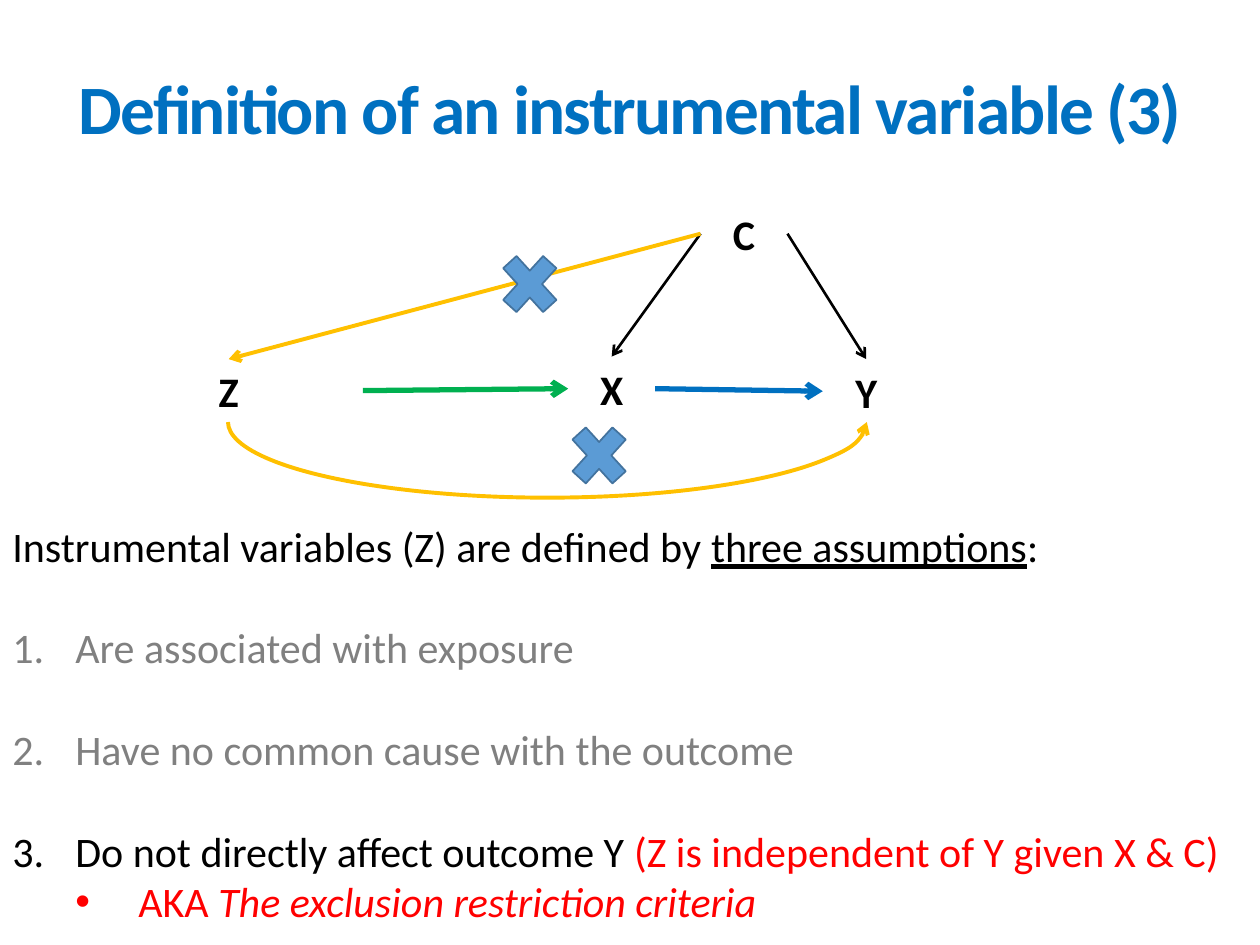
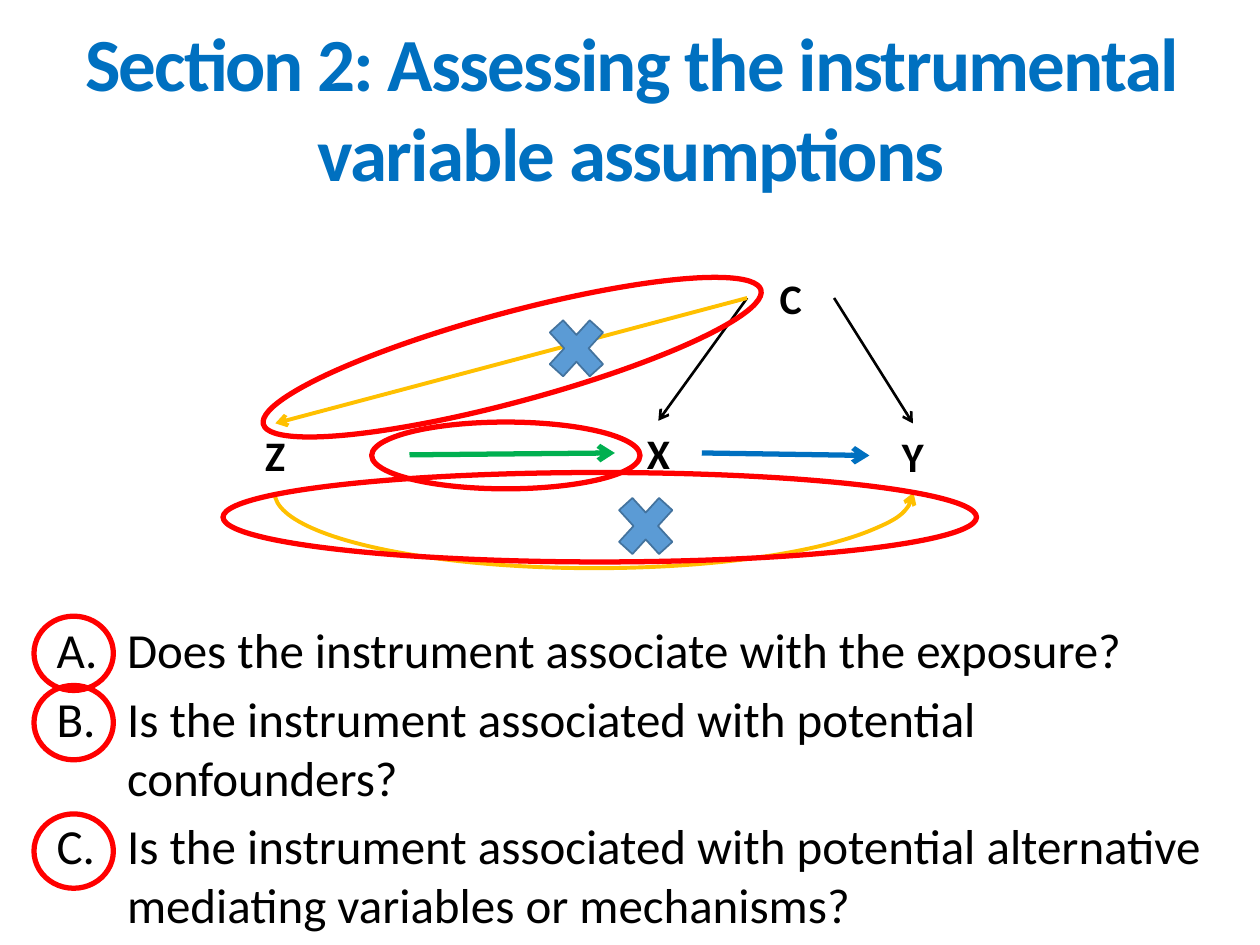
import pptx
import pptx.util
import pptx.dml.color
import pptx.enum.shapes
import pptx.enum.text
import pptx.oxml
import pptx.oxml.ns

Inches, Pt = pptx.util.Inches, pptx.util.Pt
SHAPE = pptx.enum.shapes.MSO_SHAPE
ANCHOR = pptx.enum.text.MSO_ANCHOR
ALIGN = pptx.enum.text.PP_ALIGN
qn = pptx.oxml.ns.qn

FONT = "Calibri"
BLACK, GREY, WHITE, RED = "000000", "808080", "FFFFFF", "FF0000"
BLUE, GREEN, GOLD = "0070C0", "00B050", "FFC000"
CROSS_FILL, CROSS_LINE = "5B9BD5", "43739E"

# Causal diagram, shared by both slides: left, top, width, height
NODES = {
    "C": (5.56, 1.60, 0.69, 0.51),
    "X": (4.51, 2.83, 0.69, 0.51),
    "Y": (6.53, 2.85, 0.69, 0.51),
    "Z": (0.75, 2.85, 2.13, 0.50),
}
TOP, LEFT, RIGHT = 0, 1, 3
ARROWS = [  # cause, side, effect, side, colour, width
    ("C", LEFT, "X", TOP, BLACK, 1.5),
    ("C", RIGHT, "Y", TOP, BLACK, 1.5),
    ("X", RIGHT, "Y", LEFT, BLUE, 3),
    ("Z", RIGHT, "X", LEFT, GREEN, 3),
    ("C", LEFT, "Z", TOP, GOLD, 2.25),
]
DIRECT_PATH = (1.81, 2.75, 5.07, 1.20)  # whole ellipse; its lower half is drawn
CROSS_SIZE = (0.61, 0.67)
CONFOUNDER_CROSS = (3.90, 1.92)
DIRECT_CROSS = (4.45, 3.28)

# Body paragraphs: level, bullet, space before, runs of (text, colour, style)
DEFINITION = {
    "title": "Definition of an instrumental variable (3)",
    "title_box": (0.35, 0.47, 9.3, 1.08),
    "title_size": 39.6,
    "title_anchor": ANCHOR.TOP,
    "shift": (0, 0),
    "path_drop": 0,
    "body_box": (0, 4.08, 10, 3.42),
    "body_size": 24,
    "indent": 0.5,
    "body": [
        (0, None, 0, [("Instrumental variables (Z) are defined by ", BLACK, ""),
                      ("three assumptions", BLACK, "underline"),
                      (":", BLACK, "")]),
        (0, "arabicPeriod", 29.3, [("Are associated with exposure", GREY, "")]),
        (0, "arabicPeriod", 29.3,
         [("Have no common cause with the outcome", GREY, "")]),
        (0, "arabicPeriod", 29.3,
         [("Do not directly affect outcome Y ", BLACK, ""),
          ("(Z is independent of Y given X & C)", RED, "")]),
        (1, "•", 0, [("AKA ", RED, ""),
                     ("The exclusion restriction criteria", RED, "italic")]),
    ],
    "rings": [],
}
ASSESSMENT = {
    "title": "Section 2: Assessing the instrumental variable assumptions",
    "title_box": (0.51, 0.05, 9, 1.59),
    "title_size": 42.9,
    "title_anchor": ANCHOR.MIDDLE,
    "shift": (0.37, 0.51),
    "path_drop": 0.05,
    "body_box": (0.35, 4.87, 9.48, 2.58),
    "body_size": 28,
    "indent": 0.56,
    "body": [
        (0, "alphaUcPeriod", gap, [(question, BLACK, "")])
        for gap, question in [
            (0, "Does the instrument associate with the exposure?"),
            (5.6, "Is the instrument associated with potential confounders?"),
            (5.6, "Is the instrument associated with potential alternative "
                  "mediating variables or mechanisms?"),
        ]
    ],
    # Each pair rings a path in the diagram and the letter of its question
    "rings": [
        ((2.95, 3.35, 2.13, 0.53), 0, 4.89),
        ((2.02, 2.48, 4.09, 0.71), 344.9, 5.44),
        ((1.77, 3.75, 5.98, 0.71), 0, 6.46),
    ],
}
LETTER_LEFT, LETTER_SIZE = 0.27, (0.63, 0.59)


def rgb(colour):
    return pptx.dml.color.RGBColor.from_string(colour)


def add_xml(parent, tag, **attributes):
    child = pptx.oxml.parse_xml(f"<a:{tag} {pptx.oxml.ns.nsdecls('a')}/>")
    for key, value in attributes.items():
        child.set(key, str(value))
    parent.append(child)


def style_line(item, colour, width):
    item.line.color.rgb = rgb(colour)
    item.line.width = Pt(width)


def style_run(run, size, colour, bold=False):
    run.font.name = FONT
    run.font.size = Pt(size)
    run.font.color.rgb = rgb(colour)
    run.font.bold = bold


def add_outline(slide, preset, box, colour, width, fill=None):
    shape = slide.shapes.add_shape(preset, *map(Inches, box))
    shape.shadow.inherit = False
    if fill:
        shape.fill.solid()
        shape.fill.fore_color.rgb = rgb(fill)
    else:
        shape.fill.background()
    style_line(shape, colour, width)
    return shape


def add_arrowhead(item, end):
    """Put an open arrow at the start (headEnd) or finish (tailEnd) of a line."""
    add_xml(item._element.spPr.find(qn("a:ln")), end, type="arrow")


def add_text_frame(slide, box, anchor):
    frame = slide.shapes.add_textbox(*map(Inches, box)).text_frame
    frame.word_wrap = True
    frame.vertical_anchor = anchor
    return frame


def add_title(slide, content):
    frame = add_text_frame(slide, content["title_box"], content["title_anchor"])
    frame.text = content["title"]
    heading = frame.paragraphs[0]
    heading.alignment = ALIGN.CENTER
    style_run(heading.runs[0], content["title_size"], BLUE, bold=True)
    heading.runs[0]._r.get_or_add_rPr().set("spc", "-100")


def add_body(slide, content):
    frame = add_text_frame(slide, content["body_box"], ANCHOR.TOP)
    for index, (level, bullet, gap, runs) in enumerate(content["body"]):
        paragraph = frame.add_paragraph() if index else frame.paragraphs[0]
        paragraph.level = level
        paragraph.space_before = Pt(gap)
        for text, colour, style in runs:
            run = paragraph.add_run()
            run.text = text
            style_run(run, content["body_size"], colour)
            run.font.underline = style == "underline"
            run.font.italic = style == "italic"
        if bullet:
            properties = paragraph._p.get_or_add_pPr()
            indent = content["indent"]
            properties.set("marL", str(Inches(indent * (level + 1))))
            properties.set("indent", str(-Inches(indent)))
            if bullet == "•":
                add_xml(properties, "buFont", typeface="Arial")
                add_xml(properties, "buChar", char=bullet)
            else:
                add_xml(properties, "buAutoNum", type=bullet)


def add_diagram(slide, shift, path_drop):
    """Draw the causal diagram; path_drop lowers the direct Z to Y path."""
    dx, dy = shift
    nodes = {}
    for letter, (left, top, width, height) in NODES.items():
        node = add_outline(slide, SHAPE.RECTANGLE,
                           (left + dx, top + dy, width, height), WHITE, 0.75)
        node.text_frame.text = letter
        node.text_frame.vertical_anchor = ANCHOR.MIDDLE
        label = node.text_frame.paragraphs[0]
        label.alignment = ALIGN.CENTER
        style_run(label.runs[0], 24, BLACK, bold=True)
        nodes[letter] = node

    for cause, start, effect, finish, colour, width in ARROWS:
        arrow = slide.shapes.add_connector(
            pptx.enum.shapes.MSO_CONNECTOR.STRAIGHT, 0, 0, 0, 0)
        arrow.begin_connect(nodes[cause], start)
        arrow.end_connect(nodes[effect], finish)
        style_line(arrow, colour, width)
        add_arrowhead(arrow, "tailEnd")
        add_xml(arrow._element.spPr, "effectLst")

    left, top, width, height = DIRECT_PATH
    path = add_outline(slide, SHAPE.ARC,
                       (left + dx, top + dy + path_drop, width, height), GOLD, 2.25)
    path.adjustments[0] = 0
    path.adjustments[1] = 108  # 180 degrees, in units of 100000/60000 degree
    add_arrowhead(path, "headEnd")

    for (left, top), drop in ((CONFOUNDER_CROSS, 0), (DIRECT_CROSS, path_drop)):
        add_outline(slide, SHAPE.MATH_MULTIPLY,
                    (left + dx, top + dy + drop, *CROSS_SIZE),
                    CROSS_LINE, 1, CROSS_FILL)


def add_rings(slide, rings):
    for path_box, rotation, letter_top in rings:
        ring = add_outline(slide, SHAPE.OVAL, path_box, RED, 3)
        ring.rotation = rotation
        add_outline(slide, SHAPE.OVAL,
                    (LETTER_LEFT, letter_top, *LETTER_SIZE), RED, 3)


def main():
    deck = pptx.Presentation()
    deck.slide_width, deck.slide_height = Inches(10), Inches(7.5)
    for content in (DEFINITION, ASSESSMENT):
        slide = deck.slides.add_slide(deck.slide_layouts[6])
        add_diagram(slide, content["shift"], content["path_drop"])
        add_title(slide, content)
        add_body(slide, content)
        add_rings(slide, content["rings"])
    deck.save("out.pptx")


if __name__ == "__main__":
    main()
